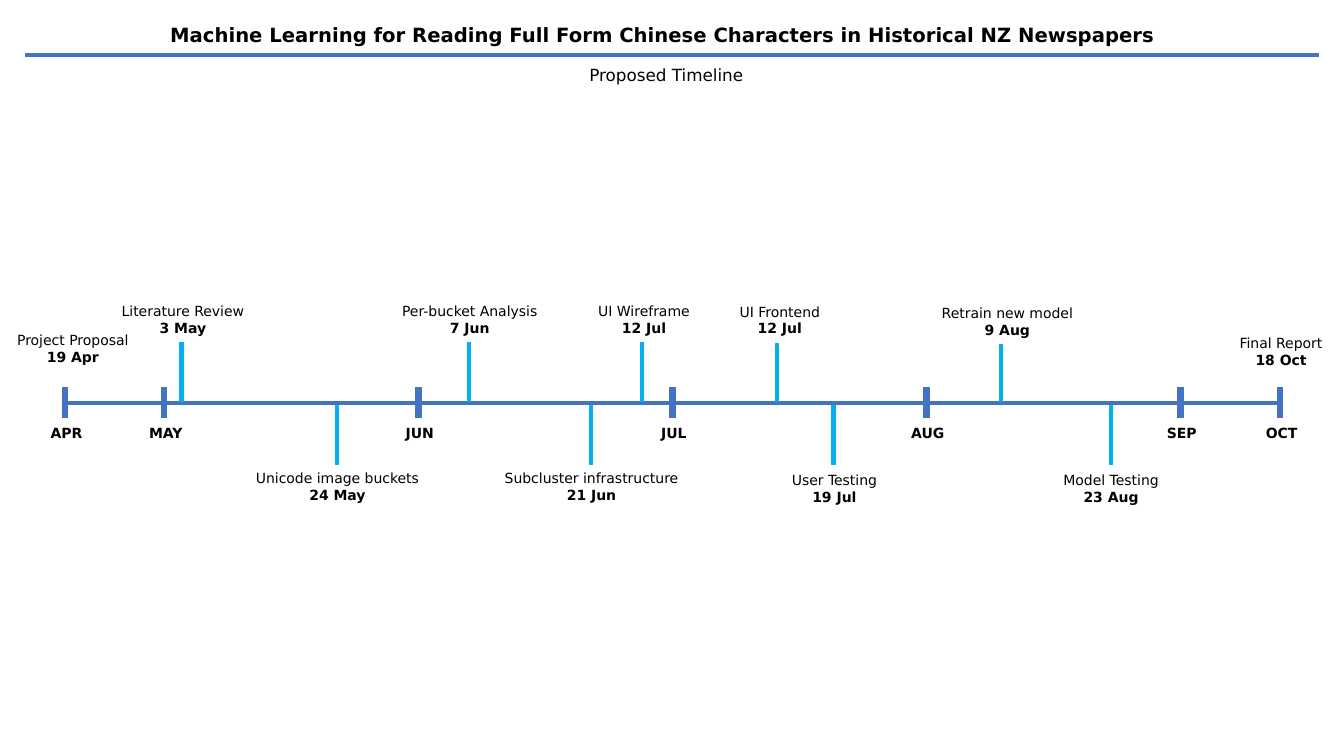
import pptx
import pptx.dml.color
import pptx.enum.shapes
import pptx.enum.text
import pptx.oxml
import pptx.util

Pt = pptx.util.Pt
FONT = "DejaVu Sans"
BLUE, CYAN, BLACK = "4472C4", "00B0F0", "000000"
AXIS_Y = 288
AXIS_LEFT, AXIS_RIGHT = 45.4, 914.4
BELOW_STEM_END = 332
LABEL_WIDTH, LABEL_HEIGHT = 140, 32
MAY_X, MONTH_STEP = 117.4, 181.44

MONTHS = [("APR", 46.5)]
MONTHS += [(name, MAY_X + index * MONTH_STEP)
           for index, name in enumerate(["MAY", "JUN", "JUL", "AUG", "SEP"])]
MONTHS += [("OCT", AXIS_RIGHT)]

ENDPOINTS = [
    ("Project Proposal", "19 Apr", 52, 233.3),
    ("Final Report", "18 Oct", 915, 235.4),
]

MILESTONES = [
    ("Literature Review", "3 May", 129.6, 130.6, 212.4),
    ("Unicode image buckets", "24 May", 240.5, 241, 332),
    ("Per-bucket Analysis", "7 Jun", 334.8, 335.5, 212.4),
    ("Subcluster infrastructure", "21 Jun", 421.9, 422.5, 332),
    ("UI Wireframe", "12 Jul", 458.6, 460, 212.4),
    ("UI Frontend", "12 Jul", 555.1, 557, 213),
    ("User Testing", "19 Jul", 595.4, 596, 333.4),
    ("Retrain new model", "9 Aug", 715, 719.5, 213.8),
    ("Model Testing", "23 Aug", 793.4, 793.6, 333.4),
]


def color(value):
    """Turn a hex string into a colour."""
    return pptx.dml.color.RGBColor.from_string(value)


def add_line(page, start, end, stroke, width):
    """Draw a straight line without a shadow."""
    line = page.shapes.add_connector(
        pptx.enum.shapes.MSO_CONNECTOR.STRAIGHT, *map(Pt, start + end))
    line.line.color.rgb = color(stroke)
    line.line.width = Pt(width)
    effects = pptx.oxml.parse_xml(
        '<a:effectLst xmlns:a="http://schemas.openxmlformats.org/drawingml/2006/main"/>')
    line.element.spPr.append(effects)


def add_text(page, center, top, width, height, lines, size):
    """Place centred lines of text, each a pair of wording and boldness."""
    box = page.shapes.add_textbox(Pt(center - width / 2), Pt(top), Pt(width), Pt(height))
    frame = box.text_frame
    frame.word_wrap = True
    frame.auto_size = pptx.enum.text.MSO_AUTO_SIZE.SHAPE_TO_FIT_TEXT
    for index, (wording, bold) in enumerate(lines):
        para = frame.add_paragraph() if index else frame.paragraphs[0]
        para.alignment = pptx.enum.text.PP_ALIGN.CENTER
        span = para.add_run()
        span.text = wording
        span.font.name = FONT
        span.font.size = Pt(size)
        span.font.bold = bold
        span.font.color.rgb = color(BLACK)


def add_label(page, name, date, center, top):
    """Place an event name over its bold date."""
    add_text(page, center, top, LABEL_WIDTH, LABEL_HEIGHT,
             [(name, False), (date, True)], 10)


def add_month(page, name, x):
    """Mark a month on the axis and name it beneath."""
    add_line(page, (x, 298.8), (x, 276.5), BLUE, 4.5)
    add_text(page, x + 1, 299.5, 120, 19, [(name, True)], 10)


def add_milestone(page, name, date, x, center, top):
    """Join a dated label to the axis with a stem."""
    if top < AXIS_Y:
        start, end = AXIS_Y - 1, top + LABEL_HEIGHT
    else:
        start, end = AXIS_Y + 1, BELOW_STEM_END
    add_line(page, (x, start), (x, end), CYAN, 3)
    add_label(page, name, date, center, top)


def main():
    """Build the timeline slide and save it."""
    deck = pptx.Presentation()
    deck.slide_width, deck.slide_height = Pt(960), Pt(540)
    page = deck.slides.add_slide(deck.slide_layouts[6])
    add_text(page, 473.3, 13, 932, 24,
             [("Machine Learning for Reading Full Form Chinese Characters "
               "in Historical NZ Newspapers", True)], 14)
    add_line(page, (18, 39.4), (942, 39.4), BLUE, 3)
    add_text(page, 476, 42.5, 932, 22, [("Proposed Timeline", False)], 12)
    add_line(page, (AXIS_LEFT, AXIS_Y), (AXIS_RIGHT, AXIS_Y), BLUE, 3)
    for endpoint in ENDPOINTS:
        add_label(page, *endpoint)
    for month in MONTHS:
        add_month(page, *month)
    for milestone in MILESTONES:
        add_milestone(page, *milestone)
    deck.save("out.pptx")


if __name__ == "__main__":
    main()
